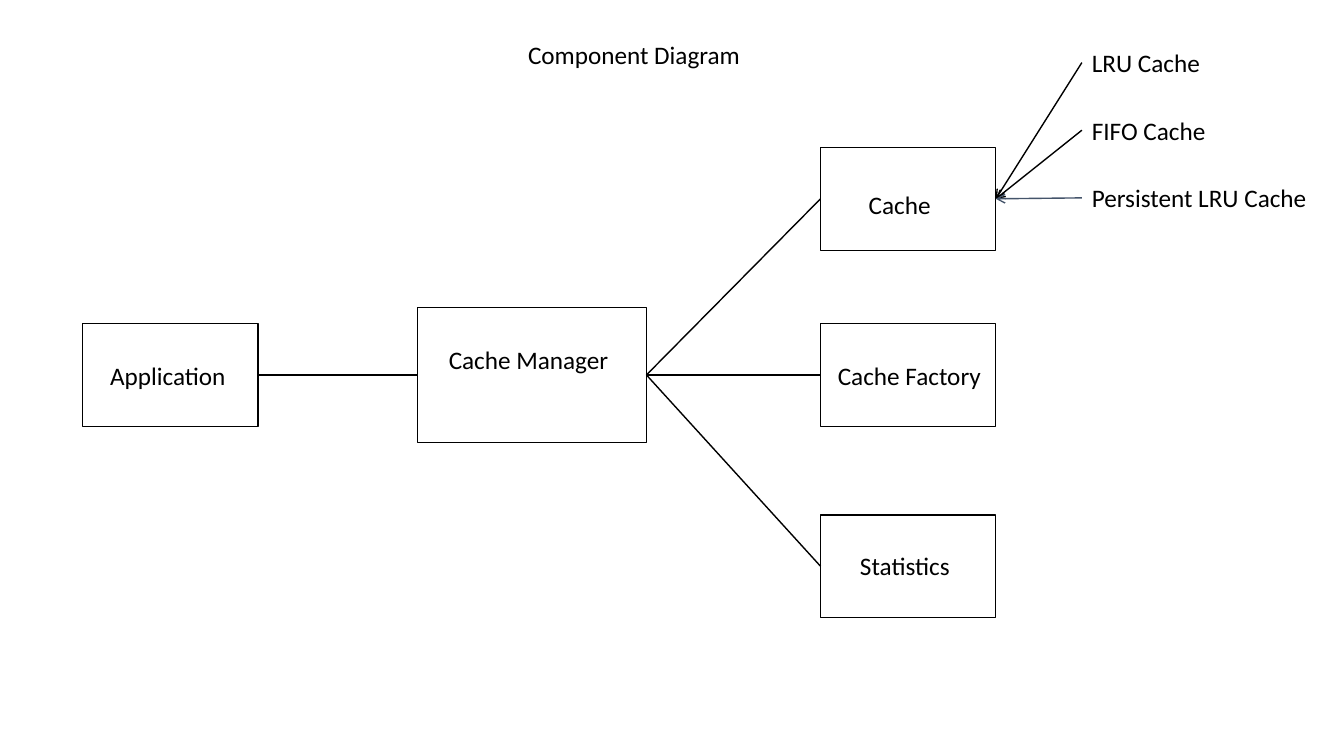
from dataclasses import dataclass

from lxml.etree import SubElement as Sub
from pptx import Presentation
from pptx.dml.color import RGBColor as Rgb
from pptx.enum.shapes import MSO_CONNECTOR as Link, MSO_SHAPE as Form
from pptx.enum.text import MSO_AUTO_SIZE as Fit
from pptx.oxml.ns import qn
from pptx.shapes.base import BaseShape as Shape
from pptx.util import Inches, Pt

HEX = {"ink": "000000", "paper": "FFFFFF", "slate": "44546A"}
LEFT, RIGHT = 1, 3  # connection sites of a rectangle
TALL = 5.35  # label height, in percent of the slide

deck = Presentation()
deck.slide_width, deck.slide_height = Inches(13.33), Inches(7.5)
slide = deck.slides.add_slide(deck.slide_layouts[6])


@dataclass
class Label:
    text: str
    x: float
    y: float
    w: float


@dataclass
class Box:
    x: float
    mid: float
    label: Label
    w: float = 13.05
    h: float = 13.6


# All lengths are percent of the slide's width or height.
AXIS = 49.6
SIDE = 61.05
APP = Box(6.15, AXIS, Label("Application", 7.45, 46.95, 10.9))
MANAGER = Box(31.05, AXIS, Label("Cache Manager", 32.65, 44.95, 14.05), 17.05, 17.8)
PARTS = [
    Box(SIDE, 26.3, Label("Cache", 63.9, 24.4, 8.95)),
    Box(SIDE, AXIS, Label("Cache Factory", 61.6, 46.95, 16.35)),
    Box(SIDE, 74.9, Label("Statistics", 63.25, 72.15, 10.3)),
]
KINDS = [("LRU Cache", 10.3, "ink"), ("FIFO Cache", 10.3, "ink"),
         ("Persistent LRU Cache", 19, "slate")]


def place(x: float, y: float, w: float, h: float) -> list[int]:
    """Turn percent of the slide into lengths."""
    wide, high = deck.slide_width / 100, deck.slide_height / 100
    return [round(n) for n in (x * wide, y * high, w * wide, h * high)]


def write(tag: Label, *, size: float = 18, font: str = "Calibri",
          color: str = "ink") -> Shape:
    area = slide.shapes.add_textbox(*place(tag.x, tag.y, tag.w, TALL))
    frame = area.text_frame
    frame.word_wrap = True
    frame.auto_size = Fit.SHAPE_TO_FIT_TEXT
    run = frame.paragraphs[0].add_run()
    run.text = tag.text
    run.font.size, run.font.name = Pt(size), font
    run.font.color.rgb = Rgb.from_string(HEX[color])
    return area


def draw(box: Box) -> Shape:
    rect = slide.shapes.add_shape(
        Form.RECTANGLE, *place(box.x, box.mid - box.h / 2, box.w, box.h))
    rect.shadow.inherit = False
    rect.fill.solid()
    rect.fill.fore_color.rgb = Rgb.from_string(HEX["paper"])
    rect.line.color.rgb = Rgb.from_string(HEX["ink"])
    rect.line.width = Pt(1)
    write(box.label)
    return rect


def join(start: Shape, end: Shape, color: str = "ink", arrow: bool = False) -> None:
    """Link the right side of start to the left side of end."""
    wire = slide.shapes.add_connector(Link.STRAIGHT, 0, 0, 0, 0)
    wire.begin_connect(start, RIGHT)
    wire.end_connect(end, LEFT)
    wire.line.color.rgb = Rgb.from_string(HEX[color])
    wire.line.width = Pt(1)
    props = wire._element.spPr
    if arrow:
        Sub(props.find(qn("a:ln")), qn("a:headEnd"), type="arrow")
    Sub(props, qn("a:effectLst"))


def main() -> None:
    write(Label("Component Diagram", 38.55, 4.55, 19.1))
    app, manager = draw(APP), draw(MANAGER)
    parts = [draw(part) for part in PARTS]
    join(app, manager)
    for part in parts:
        join(manager, part)
    for row, (text, width, color) in enumerate(KINDS):
        kind = write(Label(text, 80.5, 5.6 + 8.95 * row, width))
        join(parts[0], kind, color, arrow=True)
    deck.save("out.pptx")


if __name__ == "__main__":
    main()
